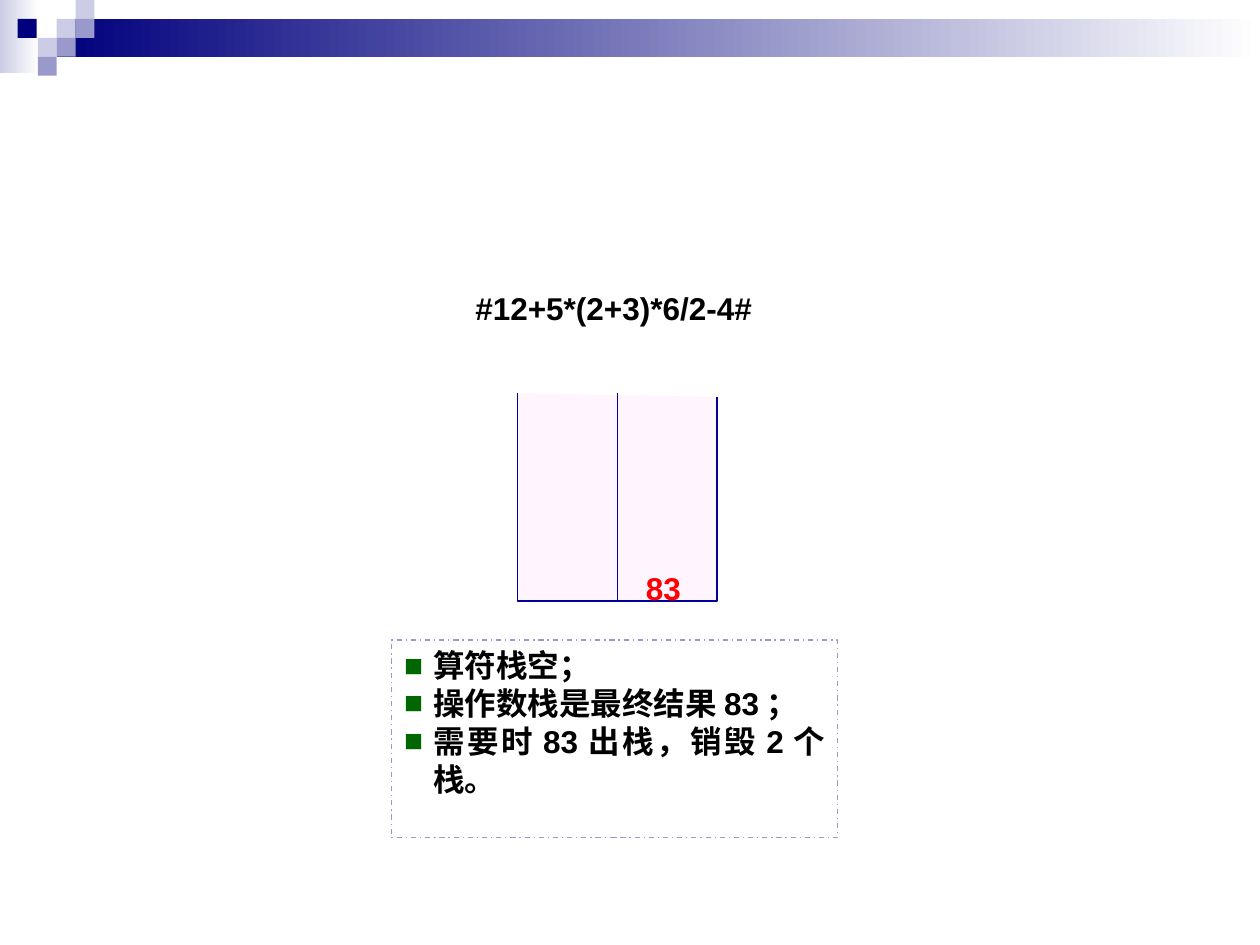
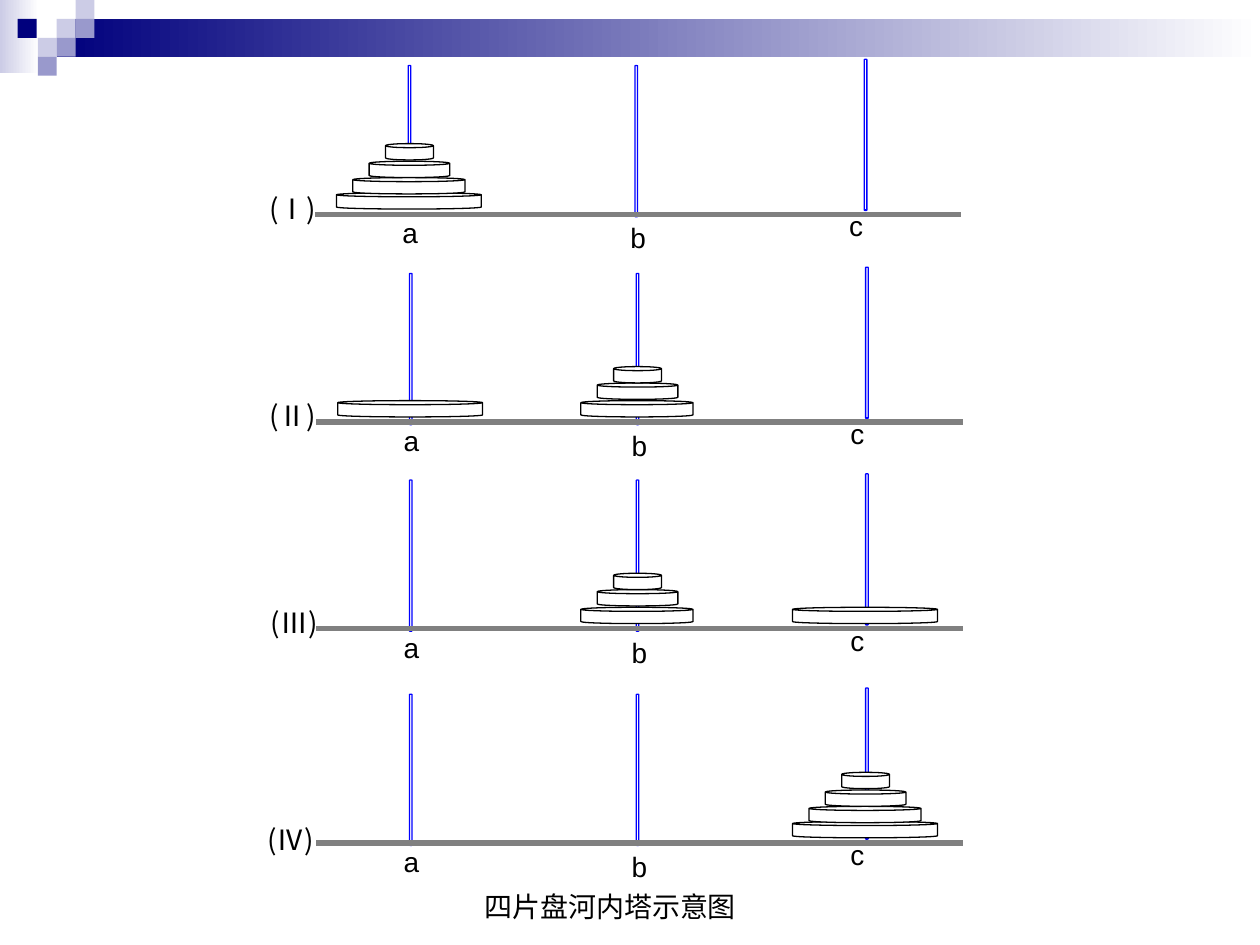
from dataclasses import dataclass
from lxml.etree import SubElement
from pptx import Presentation
from pptx.dml.color import RGBColor
from pptx.enum.dml import MSO_LINE
from pptx.enum.shapes import MSO_CONNECTOR, MSO_SHAPE
from pptx.enum.text import MSO_ANCHOR, PP_ALIGN
from pptx.oxml.ns import qn
from pptx.util import Emu, Pt


@dataclass(frozen=True)
class Theme:
    navy: str = "00007D"
    lavender: str = "9999CC"
    pale: str = "CCCCE6"
    white: str = "FFFFFF"
    black: str = "000000"
    red: str = "FF0000"
    green: str = "006600"
    stack_fill: str = "FFF5FF"
    stack_line: str = "000099"
    rod: str = "0000FF"
    ground: str = "808080"
    body: int = 18
    label: int = 16
    latin: str = "Arial"
    serif: str = "Times New Roman"
    cjk: str = "Noto Sans CJK SC"


T = Theme()
PX = 9144
THIN = Pt(0.75)


def add_box(s, kind, x, y, w, h, fill=None, line=None):
    sp = s.shapes.add_shape(kind, *(Emu(v * PX) for v in (x, y, w, h)))
    sp.shadow.inherit = False
    if fill:
        sp.fill.solid()
        sp.fill.fore_color.rgb = RGBColor.from_string(fill)
    else:
        sp.fill.background()
    if line:
        sp.line.color.rgb = RGBColor.from_string(line)
        sp.line.width = THIN
    else:
        sp.line.fill.background()
    return sp


def add_text(s, x, y, w, h, text, size, font=T.latin, asian=None, color=T.black, bold=False,
             align=PP_ALIGN.CENTER, anchor=MSO_ANCHOR.MIDDLE, wrap=True):
    sp = s.shapes.add_textbox(*(Emu(v * PX) for v in (x, y, w, h)))
    tf = sp.text_frame
    tf.word_wrap = wrap
    tf.vertical_anchor = anchor
    for i, line in enumerate(text.split("\n")):
        p = tf.paragraphs[0] if i == 0 else tf.add_paragraph()
        p.alignment = align
        r = p.add_run()
        r.text = line
        r.font.size = Pt(size)
        r.font.name = font
        r.font.bold = bold
        r.font.color.rgb = RGBColor.from_string(color)
        SubElement(r.font._element, qn("a:ea"), typeface=asian or font)
    return sp


prs = Presentation()
prs.slide_width = Emu(1000 * PX)
prs.slide_height = Emu(750 * PX)
stack_slide, hanoi_slide = (prs.slides.add_slide(prs.slide_layouts[6]) for _ in range(2))

bands = [(0, 0, 31, 58, T.pale), (45, 15, 955, 30, T.navy)]
squares = [(45, 15, T.pale), (60, 0, T.pale), (60, 15, T.lavender), (30, 30, T.pale),
           (14, 15, T.navy), (45, 30, T.lavender), (30, 45, T.lavender)]
for s in prs.slides:
    for x, y, w, h, color in bands:
        sp = add_box(s, MSO_SHAPE.RECTANGLE, x, y, w, h)
        sp.fill.gradient()
        sp.fill.gradient_angle = 0
        for stop, position, shade in zip(sp.fill.gradient_stops, (0, 1), (color, T.white)):
            stop.position = position
            stop.color.rgb = RGBColor.from_string(shade)
    for x, y, color in squares:
        add_box(s, MSO_SHAPE.RECTANGLE, x, y, 15, 15, color)

s = stack_slide
outline = s.shapes.build_freeform(411, 312, scale=PX)
outline.add_line_segments([(411, 477), (569, 477), (569, 315)], close=False)
stacks = outline.convert_to_shape()
stacks.shadow.inherit = False
stacks.fill.solid()
stacks.fill.fore_color.rgb = RGBColor.from_string(T.stack_fill)
divider = s.shapes.add_connector(MSO_CONNECTOR.STRAIGHT, *(Emu(v * PX) for v in (490, 312, 490, 477)))
for sp in (stacks, divider):
    sp.line.color.rgb = RGBColor.from_string(T.stack_line)
    sp.line.width = THIN

notes = add_text(s, 311, 508, 354, 157, "算符栈空；\n操作数栈是最终结果83；\n需要时83出栈，销毁2个栈。",
                 T.body, bold=True, align=PP_ALIGN.JUSTIFY, anchor=MSO_ANCHOR.TOP)
notes.line.color.rgb = RGBColor.from_string(T.lavender)
notes.line.width = THIN
notes.line.dash_style = MSO_LINE.DASH_DOT
for p in notes.text_frame.paragraphs:
    pPr = p._p.get_or_add_pPr()
    pPr.set("marL", str(23 * PX))
    pPr.set("indent", str(-23 * PX))
    SubElement(SubElement(pPr, qn("a:buClr")), qn("a:srgbClr"), val=T.green)
    SubElement(pPr, qn("a:buFont"), typeface=T.latin)
    SubElement(pPr, qn("a:buChar"), char="■")

add_text(s, 487, 447, 79, 39, "83", T.body, color=T.red, bold=True)
add_text(s, 353, 225, 268, 39, "#12+5*(2+3)*6/2-4#", T.body, bold=True, wrap=False)

s = hanoi_slide
disc_widths = [115, 89, 64, 38]
disc_lifts = {4: [17, 29, 42, 56], 3: [17, 31, 44], 1: [17]}
pegs = [("a", 326, 325, 118, 302, 9, PP_ALIGN.CENTER, MSO_ANCHOR.MIDDLE),
        ("b", 506, 505, 118, 483, 5, PP_ALIGN.CENTER, MSO_ANCHOR.MIDDLE),
        ("c", 687, 687, 123, 665, 9, PP_ALIGN.LEFT, MSO_ANCHOR.TOP)]
states = [("(Ⅰ)", 170, 188, 138, -1, {"a": disc_widths}),
          ("(Ⅱ)", 335, 188, 303, 0, {"a": disc_widths[:1], "b": disc_widths[1:]}),
          ("(Ⅲ)", 499, 189, 467, 0, {"b": disc_widths[1:], "c": disc_widths[:1]}),
          ("(Ⅳ)", 669, 186, 639, 0, {"c": disc_widths})]
for numeral, ground, numeral_x, numeral_y, shift, towers in states:
    add_text(s, numeral_x, numeral_y, 89, 54, numeral, T.label, T.cjk)
    for name, center, rod_x, rod_lift, name_x, name_lift, align, anchor in pegs:
        rod_height = 64 if name == "a" and ground == 170 else 120
        rod = add_box(s, MSO_SHAPE.CAN, rod_x + shift, ground - rod_lift, 2, rod_height, T.white, T.rod)
        rod.rotation = 180
        add_text(s, name_x + shift, ground - name_lift, 49, 47, name, T.label, align=align, anchor=anchor)
    floor = s.shapes.add_connector(
        MSO_CONNECTOR.STRAIGHT, *(Emu(v * PX) for v in (251 + shift, ground, 764 + shift, ground)))
    floor.line.color.rgb = RGBColor.from_string(T.ground)
    floor.line.width = Pt(3)
    for name, center, *_ in pegs:
        discs = towers.get(name, [])
        for width, lift in zip(discs, disc_lifts.get(len(discs), [])):
            add_box(s, MSO_SHAPE.CAN, center + shift - (width + 1) // 2, ground - lift,
                    width, 13, T.white, T.black)
add_text(s, 277, 693, 415, 53, "四片盘河内塔示意图", T.label, T.serif, T.cjk)

for s in prs.slides:
    for sp in s.shapes:
        if sp.element.tag == qn("p:cxnSp"):
            SubElement(sp.element.spPr, qn("a:effectLst"))

prs.save("out.pptx")
